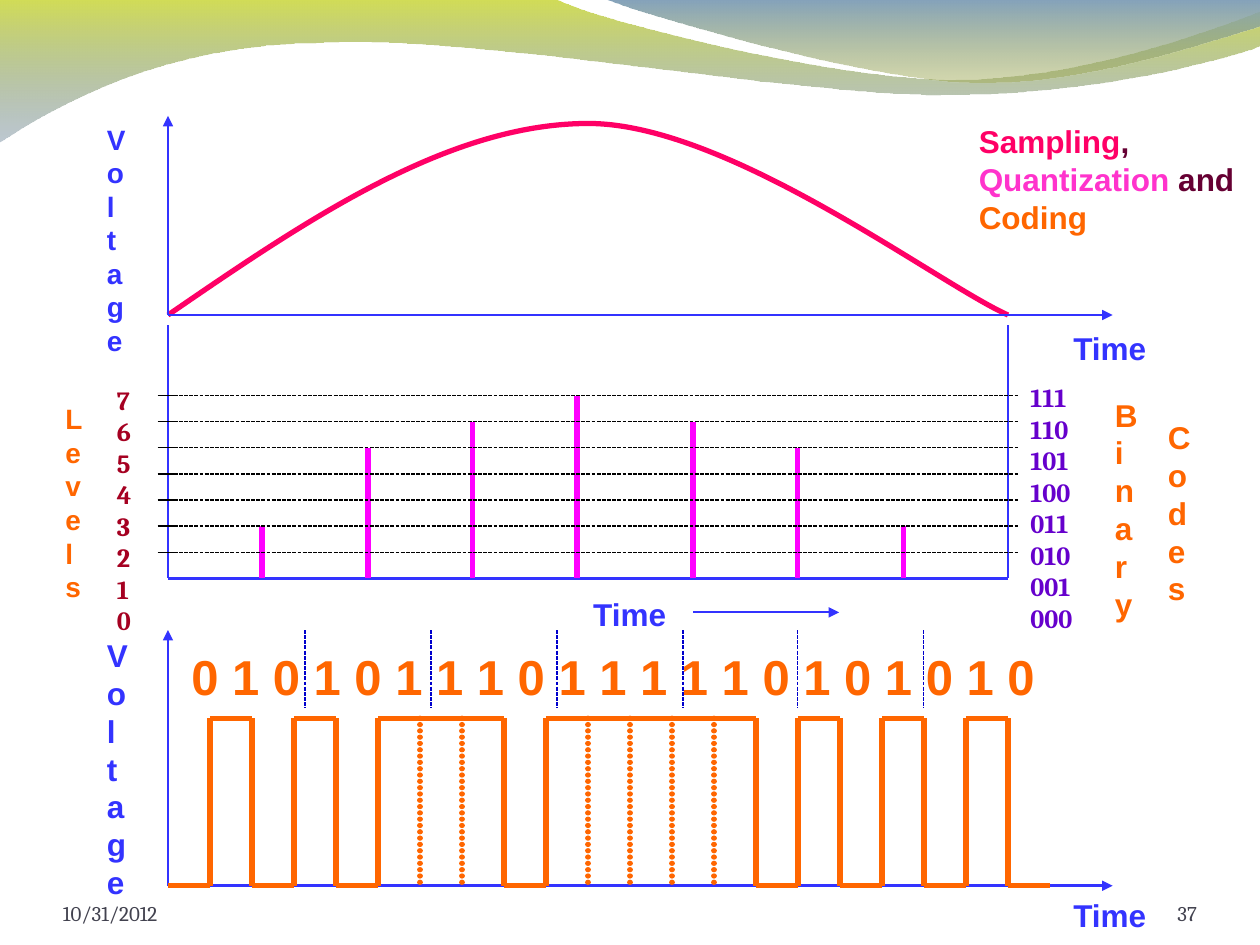
from itertools import groupby

from lxml import etree
from pptx import Presentation
from pptx.dml.color import RGBColor
from pptx.enum.dml import MSO_LINE
from pptx.enum.shapes import MSO_CONNECTOR
from pptx.enum.text import MSO_ANCHOR, MSO_AUTO_SIZE, PP_ALIGN
from pptx.oxml.ns import qn
from pptx.util import Inches, Pt

BLUE, PINK, MAGENTA, ORANGE = "3333FF", "FF0066", "FF00FF", "FF6600"
BLACK, NAVY, RED, PURPLE = "000000", "0000CC", "A50021", "6600CC"
PLUM, ORCHID, GRAY = "660033", "FF33CC", "42424F"
LEFT, RIGHT, AXIS_END = 4 / 3, 8, 8.83


def rgb(value):
    return RGBColor.from_string(value)


class Deck:
    def __init__(self, font="Arial"):
        self.prs = Presentation()
        self.prs.slide_width, self.prs.slide_height = Inches(10), Inches(7.5)
        self.s = self.prs.slides.add_slide(self.prs.slide_layouts[6])
        self.font = font

    def line(self, x1, y1, x2, y2, color, width=0.75, dash=None, arrow=False, dots=False):
        c = self.s.shapes.add_connector(MSO_CONNECTOR.STRAIGHT, Inches(x1), Inches(y1),
                                        Inches(x2), Inches(y2))
        c.line.color.rgb = rgb(color)
        c.line.width = Pt(width)
        if dash:
            c.line.dash_style = dash
        ln = c.line._get_or_add_ln()
        if dots:
            ln.set("cap", "rnd")
            pattern = etree.SubElement(ln, qn("a:custDash"))
            etree.SubElement(pattern, qn("a:ds"), d="100000", sp="20000")
        if arrow:
            etree.SubElement(ln, qn("a:tailEnd"), type="triangle")
        etree.SubElement(c._element.spPr, qn("a:effectLst"))

    def outline(self, start, segments, closed=False):
        """Join segments: one point makes a line, three points a cubic curve."""
        builder = self.s.shapes.build_freeform(Inches(start[0]), Inches(start[1]))
        builder.add_line_segments([(Inches(x), Inches(y)) for seg in segments for x, y in seg],
                                  close=closed)
        sp = builder.convert_to_shape()
        sp.shadow.inherit = False
        steps = iter(sp._element.findall(".//" + qn("a:lnTo")))
        for seg in segments:
            nodes = [next(steps) for _ in seg]
            if len(seg) == 3:
                cubic = etree.Element(qn("a:cubicBezTo"))
                nodes[0].addprevious(cubic)
                for node in nodes:
                    cubic.append(node[0])
                    node.getparent().remove(node)
        return sp

    def curve(self, start, segments, color, width):
        sp = self.outline(start, segments)
        sp.fill.background()
        sp.line.color.rgb = rgb(color)
        sp.line.width = Pt(width)

    def wave(self, start, segments, top, bottom, alpha=45):
        """Fill an area from top to bottom colour, the lower one see-through."""
        sp = self.outline(start, segments, closed=True)
        sp.line.fill.background()
        sp.fill.gradient()
        sp.fill.gradient_angle = 270
        for stop, color, position in zip(sp.fill.gradient_stops, (top, bottom), (0, 1)):
            stop.color.rgb = rgb(color)
            stop.position = position
        clr = sp._element.spPr.findall(".//" + qn("a:srgbClr"))[-1]
        etree.SubElement(clr, qn("a:alpha"), val=str(alpha * 1000))

    def text(self, x, y, w, h, runs, size=18, font=None, bold=True, wrap=True):
        """Write one paragraph of (text, colour) runs."""
        tf = self.s.shapes.add_textbox(Inches(x), Inches(y), Inches(w), Inches(h)).text_frame
        tf.word_wrap = wrap
        tf.auto_size = MSO_AUTO_SIZE.SHAPE_TO_FIT_TEXT
        p = tf.paragraphs[0]
        for words, color in runs:
            r = p.add_run()
            r.text = words
            r.font.name, r.font.size, r.font.bold = font or self.font, Pt(size), bold
            r.font.color.rgb = rgb(color)
        return tf

    def footer(self, x, w, words, align=PP_ALIGN.LEFT):
        tf = self.text(x, 6.95, w, 0.4, [(words, GRAY)], 12, "Cambria", False)
        tf.auto_size = MSO_AUTO_SIZE.NONE
        tf.vertical_anchor = MSO_ANCHOR.BOTTOM
        tf.margin_left = tf.margin_right = tf.margin_top = tf.margin_bottom = 0
        tf.paragraphs[0].alignment = align


def draw_waves(deck):
    deck.wave((0, -0.01), [[(4.4, -0.01)],
                           [(4.76, 0.17), (6.64, 0.63), (7.58, 0.63)],
                           [(8.53, 0.63), (9.58, 0.26), (10, 0.09)],
                           [(10.01, 0.36)],
                           [(9.83, 0.44), (8.7, 0.76), (7.46, 0.75)],
                           [(6.22, 0.75), (3.82, 0.28), (2.57, 0.34)],
                           [(1.29, 0.35), (0.46, 0.83), (-0.01, 1.13)]], "D2DD56", "70879A")
    deck.wave((4.79, -0.01), [[(5.09, 0.11), (6.82, 0.62), (7.69, 0.65)],
                              [(8.56, 0.69), (9.61, 0.32), (10, 0.21)],
                              [(10, 0)]], "83A2BC", "A3AB4D")


def draw_signal(deck):
    base = 2.5
    deck.curve((LEFT, base), [[(2.44, 1.74), (3.56, 0.98), (4.67, 0.98)],
                              [(5.78, 0.98), (7.44, 2.25), (RIGHT, base)]], PINK, 3)
    deck.line(LEFT, base, LEFT, 0.92, BLUE, arrow=True)
    deck.line(LEFT, base, AXIS_END, base, BLUE, arrow=True)
    deck.text(8.42, 2.56, 1, 0.4, [("Time", BLUE)])
    deck.text(0.75, 0.92, 0.25, 1.97, [("Voltage", BLUE)], 16)


def draw_levels(deck):
    base, step = 4.59, 1.45 / 7
    deck.line(LEFT, base, RIGHT, base, BLUE, 1.5)
    for x in (LEFT, RIGHT):
        deck.line(x, 2.58, x, base, BLUE, 1.5)
    samples = {2.08: 2, 2.92: 5, 3.75: 6, 4.58: 7, 5.5: 6, 6.33: 5, 7.17: 2}
    for x, level in samples.items():
        deck.line(x, base, x, base - level * step, MAGENTA, 3)
    for level in range(1, 8):
        y = base - level * step
        deck.line(1.25, y, 1.41, y, BLACK)
        deck.line(1.42, y, 8.08, y, BLACK, dash=MSO_LINE.SQUARE_DOT)
    deck.text(0.83, 3, 0.25, 2.1, [("76543210", RED)], 15, "Cambria")
    deck.text(8.08, 2.98, 0.58, 2.1, [("111 110 101 100 011 010 001 000", PURPLE)],
              15, "Cambria")
    deck.text(0.42, 3.14, 0.33, 1.7, [("Levels", ORANGE)], 16)
    deck.text(8.75, 3.09, 0.33, 2.28, [("Binary", ORANGE)])
    deck.text(9.17, 3.27, 0.33, 1.6, [("Codes", ORANGE)])
    deck.text(4.61, 4.67, 0.78, 0.4, [("Time", BLUE)], wrap=False)
    deck.line(5.5, 4.86, 6.66, 4.86, BLUE, 1, arrow=True)


def draw_pulses(deck):
    bits, width, high, low = "010101110111110101010", 1 / 3, 5.7, 7.03
    deck.text(8.42, 7.06, 1, 0.4, [("Time", BLUE)])
    deck.line(LEFT, low, LEFT, 5, BLUE, 1.5, arrow=True)
    deck.line(LEFT, low, AXIS_END, low, BLUE, 1.5, arrow=True)
    deck.text(0.75, 5, 0.25, 2.2, [("Voltage", BLUE)])
    deck.text(1.42, 5.08, 7, 0.57, [(" ".join(bits), ORANGE)], 28)
    for i in range(1, len(bits)):
        x = LEFT + i * width
        deck.line(x, high, x, low, ORANGE, 3, dots=bits[i] == bits[i - 1])
    x = LEFT
    for bit, run in groupby(bits):
        end = x + len(list(run)) * width
        y = high if bit == "1" else low
        deck.line(x, y, end, y, ORANGE, 3)
        x = end
    for x in (2.42, 3.42, 4.42, 5.42, 6.33, 7.33):
        deck.line(x, 5, x, 5.62, NAVY, dash=MSO_LINE.SQUARE_DOT)


def main():
    deck = Deck()
    draw_waves(deck)
    draw_signal(deck)
    draw_levels(deck)
    draw_pulses(deck)
    deck.text(7.67, 0.92, 2.33, 1, [("Sampling", PINK), (", ", PLUM), ("Quantization ", ORCHID),
                                    ("and ", PLUM), ("Coding", ORANGE)])
    deck.footer(8.67, 0.83, "37", PP_ALIGN.RIGHT)
    deck.footer(0.5, 2.33, "10/31/2012")
    deck.prs.save("out.pptx")


if __name__ == "__main__":
    main()
